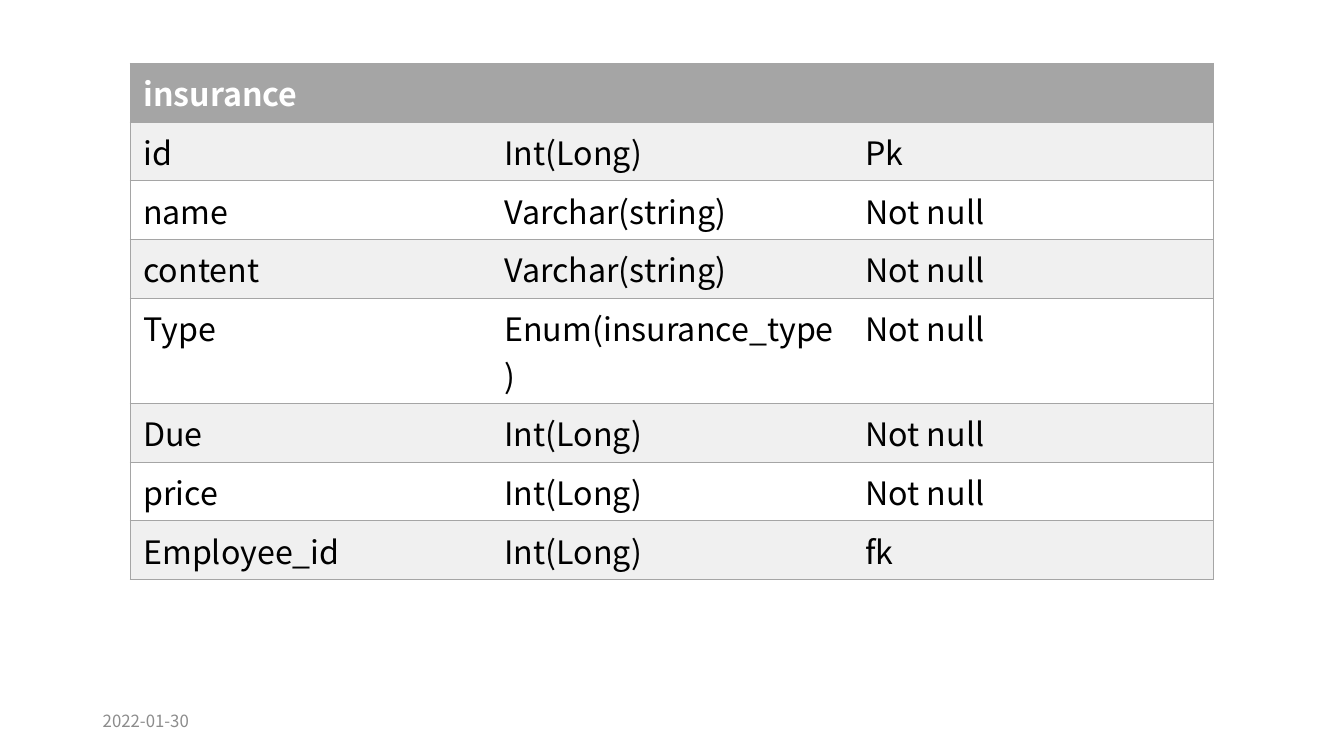
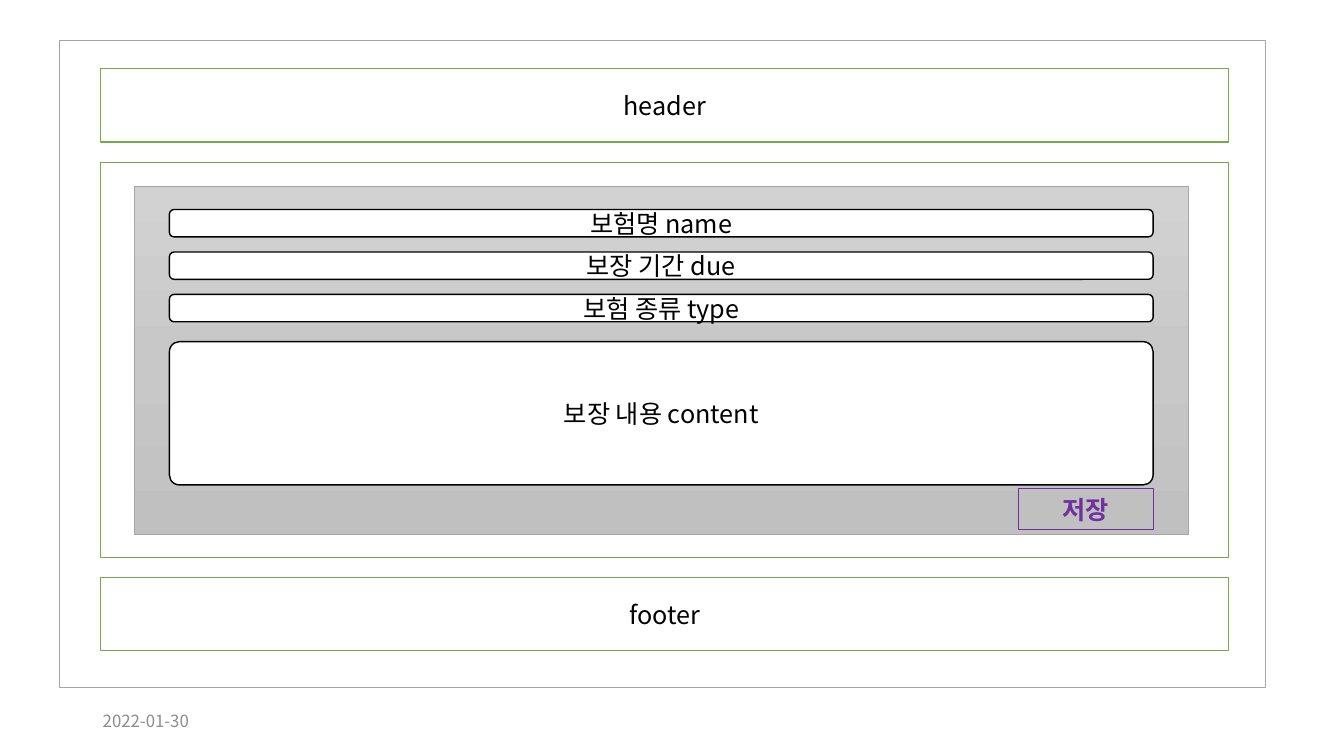
from copy import deepcopy
from dataclasses import dataclass

from lxml.etree import SubElement
from pptx import Presentation
from pptx.dml.color import RGBColor
from pptx.enum.shapes import MSO_SHAPE
from pptx.enum.text import MSO_ANCHOR, PP_ALIGN
from pptx.oxml.ns import qn
from pptx.shapes.autoshape import Shape
from pptx.slide import Slide
from pptx.table import _Cell
from pptx.text.text import _Paragraph
from pptx.util import Cm, Pt

FONT = "Noto Sans CJK KR"
BLACK = RGBColor(0x00, 0x00, 0x00)
WHITE = RGBColor(0xFF, 0xFF, 0xFF)
GREY = RGBColor(0xA5, 0xA5, 0xA5)
PALE = RGBColor(0xF0, 0xF0, 0xF0)
DATE_GREY = RGBColor(0x8C, 0x8C, 0x8C)
GREEN = RGBColor(0x70, 0xAD, 0x47)
PURPLE = RGBColor(0x70, 0x30, 0xA0)
PANEL_STOPS = (
    RGBColor(0xD2, 0xD2, 0xD2),
    RGBColor(0xC8, 0xC8, 0xC8),
    RGBColor(0xC0, 0xC0, 0xC0),
)

DATE = "2022-01-30"
TABLE_NAME = "insurance"
COLUMNS = (
    ("id", "Int(Long)", "Pk"),
    ("name", "Varchar(string)", "Not null"),
    ("content", "Varchar(string)", "Not null"),
    ("Type", "Enum(insurance_type)", "Not null"),
    ("Due", "Int(Long)", "Not null"),
    ("price", "Int(Long)", "Not null"),
    ("Employee_id", "Int(Long)", "fk"),
)
COLUMN_WIDTH = 9.1
ROW_HEIGHT = 0.99

BAND_LEFT, BAND_WIDTH = 2.54, 28.42
FIELD_LEFT, FIELD_WIDTH = 4.27, 24.79
FIELD_TOP, FIELD_STEP, FIELD_HEIGHT = 5.28, 1.07, 0.69
FIELDS = ("보험명 name", "보장 기간 due", "보험 종류 type")
SAVE_WIDTH = 3.4


@dataclass(frozen=True)
class Box:
    left: float
    top: float
    width: float
    height: float
    line: RGBColor
    text: str = ""
    fill: RGBColor | None = WHITE
    weight: float = 1
    color: RGBColor = BLACK
    bold: bool = False
    corner: float | None = None


def add_span(para: _Paragraph, text: str, size: float, color: RGBColor, bold: bool = False) -> None:
    span = para.add_run()
    span.text = text
    span.font.name = FONT
    span.font.size = Pt(size)
    span.font.bold = bold
    span.font.color.rgb = color
    SubElement(span.font._element, qn("a:ea")).set("typeface", FONT)


def add_date(page: Slide) -> None:
    frame = page.shapes.add_textbox(Cm(2.34), Cm(17.65), Cm(7.62), Cm(1.02)).text_frame
    frame.word_wrap = True
    frame.vertical_anchor = MSO_ANCHOR.MIDDLE
    add_span(frame.paragraphs[0], DATE, 12, DATE_GREY)


def draw_box(page: Slide, box: Box) -> Shape:
    kind = MSO_SHAPE.RECTANGLE if box.corner is None else MSO_SHAPE.ROUNDED_RECTANGLE
    shape = page.shapes.add_shape(kind, Cm(box.left), Cm(box.top), Cm(box.width), Cm(box.height))
    shape.shadow.inherit = False
    if box.corner is not None:
        shape.adjustments[0] = box.corner
    if box.fill is None:
        shape.fill.background()
    else:
        shape.fill.solid()
        shape.fill.fore_color.rgb = box.fill
    shape.line.color.rgb = box.line
    shape.line.width = Pt(box.weight)
    if box.text:
        frame = shape.text_frame
        frame.word_wrap = True
        frame.vertical_anchor = MSO_ANCHOR.MIDDLE
        para = frame.paragraphs[0]
        para.alignment = PP_ALIGN.CENTER
        add_span(para, box.text, 18, box.color, box.bold)
    return shape


def shade_panel(panel: Shape) -> None:
    panel.fill.gradient()
    panel.fill.gradient_angle = 270
    stops = panel.element.spPr.find(qn("a:gradFill")).find(qn("a:gsLst"))
    stops.insert(1, deepcopy(stops[0]))
    for index, (stop, color) in enumerate(zip(panel.fill.gradient_stops, PANEL_STOPS)):
        stop.position = index / 2
        stop.color.rgb = color


def style_cell(cell: _Cell, fill: RGBColor, sides: str) -> None:
    properties = cell._tc.get_or_add_tcPr()
    for side in "LRTB":
        border = SubElement(properties, qn(f"a:ln{side}"))
        if side in sides:
            border.set("w", str(Pt(1)))
            solid = SubElement(border, qn("a:solidFill"))
            SubElement(solid, qn("a:srgbClr")).set("val", str(GREY))
        else:
            SubElement(border, qn("a:noFill"))
    cell.fill.solid()
    cell.fill.fore_color.rgb = fill
    cell.margin_left = cell.margin_right = Cm(0.33)
    cell.margin_top = cell.margin_bottom = Cm(0.15)


def build_table_page(page: Slide) -> None:
    row_count, column_count = len(COLUMNS) + 1, len(COLUMNS[0])
    table = page.shapes.add_table(
        row_count, column_count, Cm(3.28), Cm(1.6),
        Cm(COLUMN_WIDTH * column_count), Cm(ROW_HEIGHT * row_count),
    ).table
    for column in table.columns:
        column.width = Cm(COLUMN_WIDTH)
    for row in table.rows:
        row.height = Cm(ROW_HEIGHT)
    for index in range(column_count):
        style_cell(table.cell(0, index), GREY, "LRTB")
    title = table.cell(0, 0)
    title.merge(table.cell(0, column_count - 1))
    add_span(title.text_frame.paragraphs[0], TABLE_NAME, 23, WHITE, True)
    edges = {0: "LTB", column_count - 1: "RTB"}
    for row_index, texts in enumerate(COLUMNS, start=1):
        for column_index, text in enumerate(texts):
            cell = table.cell(row_index, column_index)
            style_cell(cell, PALE if row_index % 2 else WHITE, edges.get(column_index, "TB"))
            add_span(cell.text_frame.paragraphs[0], text, 23, BLACK)
    add_date(page)


def build_form_page(page: Slide) -> None:
    add_date(page)
    draw_box(page, Box(1.5, 1.02, 30.4, 16.31, GREY))
    for top, height, text in ((1.73, 1.85, "header"), (4.09, 9.96, ""), (14.55, 1.85, "footer")):
        draw_box(page, Box(BAND_LEFT, top, BAND_WIDTH, height, GREEN, text))
    shade_panel(draw_box(page, Box(3.38, 4.7, 26.57, 8.76, GREY, weight=0.5)))
    for index, text in enumerate(FIELDS):
        top = FIELD_TOP + index * FIELD_STEP
        draw_box(page, Box(FIELD_LEFT, top, FIELD_WIDTH, FIELD_HEIGHT, BLACK, text, corner=0.17))
    draw_box(page, Box(FIELD_LEFT, 8.61, FIELD_WIDTH, 3.61, BLACK, "보장 내용 content", corner=0.07))
    save_left = FIELD_LEFT + FIELD_WIDTH - SAVE_WIDTH
    draw_box(page, Box(save_left, 12.32, SAVE_WIDTH, 1.02, PURPLE, "저장", None, 0.75, PURPLE, True))


def main() -> None:
    deck = Presentation()
    deck.slide_width, deck.slide_height = Cm(33.87), Cm(19.05)
    for build in (build_table_page, build_form_page):
        build(deck.slides.add_slide(deck.slide_layouts[6]))
    deck.save("out.pptx")


if __name__ == "__main__":
    main()
